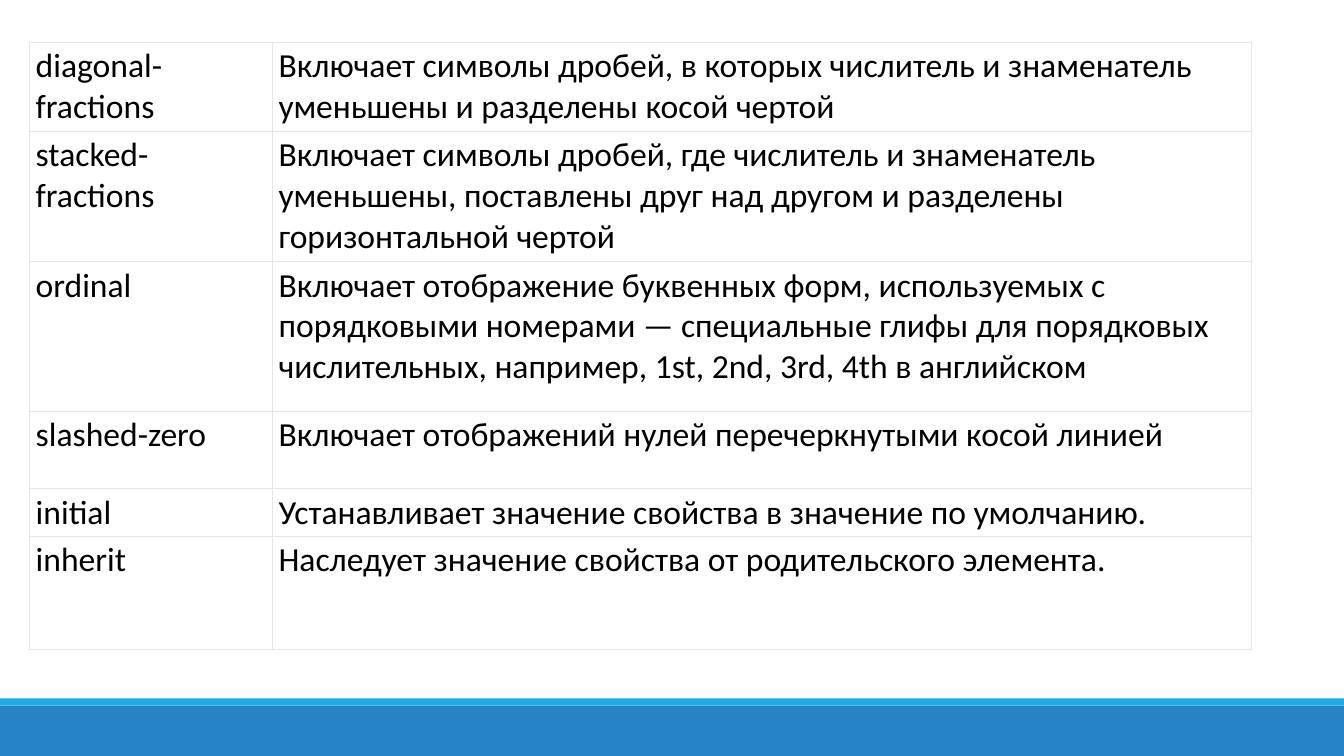
from lxml import etree
from pptx import Presentation
from pptx import util as u
from pptx.dml.color import RGBColor
from pptx.enum import shapes, text
from pptx.oxml.ns import qn

WHITE = RGBColor(0xFF, 0xFF, 0xFF)
BLACK = RGBColor(0, 0, 0)
GRID = RGBColor(0xE6, 0xE6, 0xE6)
BLUE = RGBColor(0x26, 0x83, 0xC6)
CYAN = RGBColor(0x1C, 0xAD, 0xE4)

SLIDE_WIDTH, SLIDE_HEIGHT = u.Cm(33.87), u.Cm(19.05)
COLUMN_WIDTHS = (6.12, 24.69)

# Value, description, row height in centimetres
VALUES = [
    ("diagonal-fractions",
     "Включает символы дробей, в которых числитель и знаменатель "
     "уменьшены и разделены косой чертой", 2.25),
    ("stacked-fractions",
     "Включает символы дробей, где числитель и знаменатель уменьшены, "
     "поставлены друг над другом и разделены горизонтальной чертой", 3.28),
    ("ordinal",
     "Включает отображение буквенных форм, используемых с порядковыми "
     "номерами — специальные глифы для порядковых числительных, "
     "например, 1st, 2nd, 3rd, 4th в английском", 3.76),
    ("slashed-zero",
     "Включает отображений нулей перечеркнутыми косой линией", 1.96),
    ("initial",
     "Устанавливает значение свойства в значение по умолчанию.", 1.19),
    ("inherit",
     "Наследует значение свойства от родительского элемента.", 2.84),
]


def write(frame, content, size=24, font="Calibri", color=BLACK):
    paragraph = frame.paragraphs[0]
    paragraph.alignment = text.PP_ALIGN.LEFT
    run = paragraph.add_run()
    run.text = content
    run.font.size = u.Pt(size)
    run.font.name = font
    run.font.color.rgb = color


def set_borders(cell, color=GRID, width=0.75):
    """Draw all four sides; the lines must precede the cell's fill."""
    properties = cell._tc.get_or_add_tcPr()
    for position, side in enumerate(("a:lnL", "a:lnR", "a:lnT", "a:lnB")):
        line = etree.Element(qn(side), w=str(u.Pt(width)))
        fill = etree.SubElement(line, qn("a:solidFill"))
        etree.SubElement(fill, qn("a:srgbClr"), val=str(color))
        properties.insert(position, line)


def format_cell(cell, content):
    cell.margin_left = cell.margin_right = u.Cm(0.16)
    cell.margin_top = cell.margin_bottom = u.Cm(0.08)
    cell.vertical_anchor = text.MSO_ANCHOR.TOP
    cell.fill.solid()
    cell.fill.fore_color.rgb = WHITE
    set_borders(cell)
    write(cell.text_frame, content)


def add_values_table(slide, left, top, width, height):
    table = slide.shapes.add_table(
        len(VALUES), len(COLUMN_WIDTHS), left, top, width, height).table
    table.first_row = table.horz_banding = False
    for column, column_width in zip(table.columns, COLUMN_WIDTHS):
        column.width = u.Cm(column_width)
    for row, (value, description, row_height) in zip(table.rows, VALUES):
        row.height = u.Cm(row_height)
        for cell, content in zip(row.cells, (value, description)):
            format_cell(cell, content)


def add_footer_bands(slide, left, top, width, height):
    stripe_height = u.Cm(0.18)
    bands = ((top + stripe_height, height - stripe_height, BLUE),
             (top, stripe_height, CYAN))
    for band_top, band_height, color in bands:
        band = slide.shapes.add_shape(
            shapes.MSO_SHAPE.RECTANGLE, left, band_top, width, band_height)
        band.shadow.inherit = False
        band.fill.solid()
        band.fill.fore_color.rgb = color
        band.line.fill.background()


def main():
    deck = Presentation()
    deck.slide_width, deck.slide_height = SLIDE_WIDTH, SLIDE_HEIGHT
    slide = deck.slides.add_slide(deck.slide_layouts[6])
    footer_height = u.Cm(1.45)
    add_footer_bands(slide, 0, SLIDE_HEIGHT - footer_height,
                     SLIDE_WIDTH, footer_height)
    add_values_table(slide, u.Cm(0.74), u.Cm(1.07), u.Cm(sum(COLUMN_WIDTHS)),
                     u.Cm(sum(row_height for *_, row_height in VALUES)))
    deck.save("out.pptx")


if __name__ == "__main__":
    main()
